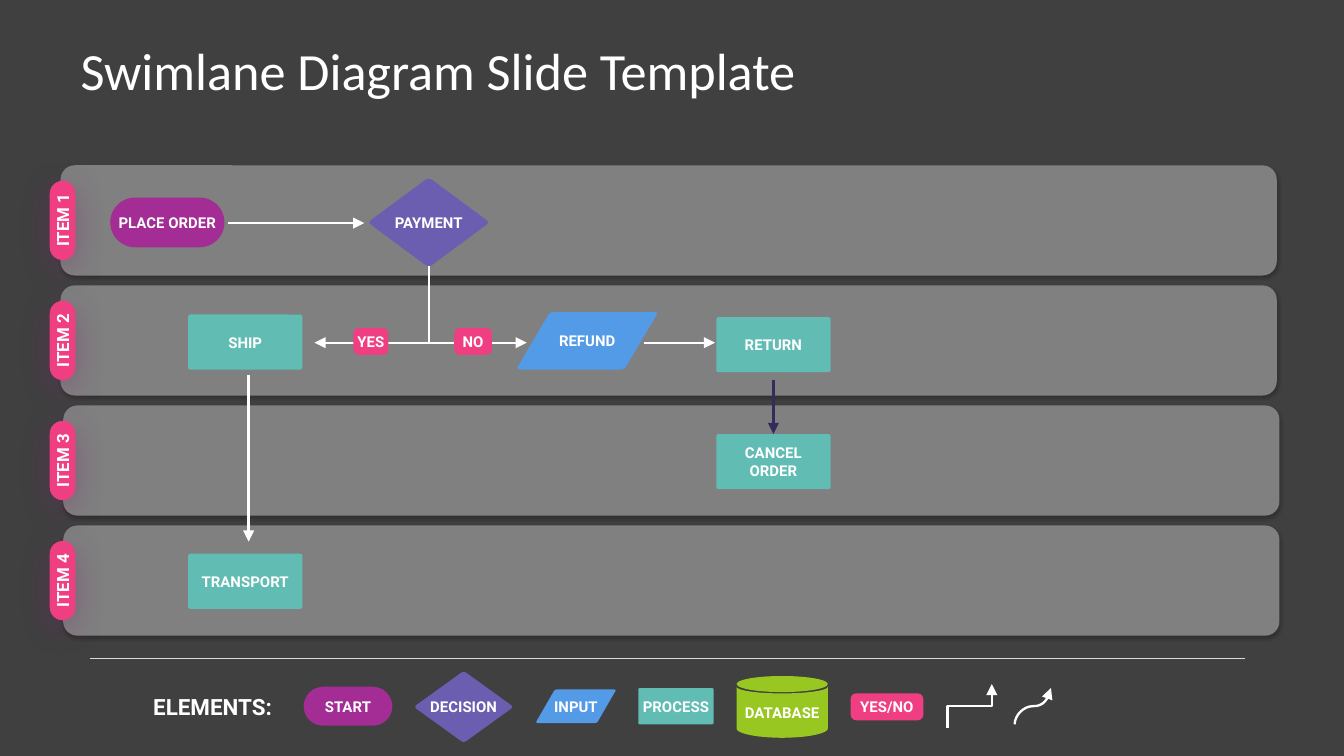
"""Build a swimlane diagram slide with a legend of flowchart elements."""
import math

from lxml import etree
from pptx import Presentation
from pptx.dml.color import RGBColor
from pptx.enum.shapes import MSO_CONNECTOR, MSO_SHAPE
from pptx.enum.text import MSO_ANCHOR, PP_ALIGN
from pptx.oxml.ns import qn
from pptx.util import Inches, Pt

STRAIGHT, ELBOW, CURVE = MSO_CONNECTOR.STRAIGHT, MSO_CONNECTOR.ELBOW, MSO_CONNECTOR.CURVE
ROUNDED, OVAL = MSO_SHAPE.ROUNDED_RECTANGLE, MSO_SHAPE.OVAL
MIDDLE, TOP = MSO_ANCHOR.MIDDLE, MSO_ANCHOR.TOP
CENTER, LEFT = PP_ALIGN.CENTER, PP_ALIGN.LEFT

BACKGROUND = RGBColor(0x40, 0x40, 0x40)
LANE = RGBColor(0x80, 0x80, 0x80)
WHITE = RGBColor(0xFF, 0xFF, 0xFF)
RULE = RGBColor(0xD8, 0xDB, 0xD8)
PURPLE = RGBColor(0xA3, 0x2C, 0x95)
VIOLET = RGBColor(0x6B, 0x5E, 0xB1)
BLUE = RGBColor(0x53, 0x9B, 0xE7)
TEAL = RGBColor(0x61, 0xBC, 0xB3)
GREEN = RGBColor(0x99, 0xC7, 0x22)
PINK = RGBColor(0xEF, 0x3F, 0x82)
NAVY = RGBColor(0x34, 0x2C, 0x5B)

SLIDE_WIDTH = Inches(10)
SLIDE_HEIGHT = SLIDE_WIDTH * 9 // 16

LANE_NAMES = ["ITEM 1", "ITEM 2", "ITEM 3", "ITEM 4"]
LANE_LEFTS = [0.45, 0.45, 0.47, 0.47]
LANE_TOP, LAST_LANE_TOP, LANE_WIDTH, LANE_HEIGHT = 1.23, 3.91, 9.05, 0.82
LABEL_LEFT, LABEL_WIDTH, LABEL_HEIGHT = 0.17, 0.59, 0.19
LANE_SHADOW = ("000000", 23, 2, 1, 70)
LABEL_SHADOW = ("7A206F", 37, 17, 4, 90)

ROUNDED_KINDS = {"start": (PURPLE, 0.5), "process": (TEAL, 0.04), "tag": (PINK, 0.2)}
POLYGON_KINDS = {
    "decision": (VIOLET, 0.06, [(0.5, 0), (1, 0.5), (0.5, 1), (0, 0.5)]),
    "input": (BLUE, 0.05, [(0.24, 0), (1, 0), (0.76, 1), (0, 1)]),
}
STEP_WIDTH, STEP_HEIGHT = 0.85, 0.41
LEGEND = [
    ("START", "start", 2.26, 5.11, 0.66, 0.29),
    ("DECISION", "decision", 3.09, 5, 0.72, 0.52),
    ("INPUT", "input", 3.99, 5.13, 0.59, 0.25),
    ("PROCESS", "process", 4.75, 5.12, 0.56, 0.27),
    ("YES/NO", "tag", 6.33, 5.16, 0.54, 0.2),
]
STEPS = [
    ("PLACE ORDER", "start", 0.82, 1.47, 0.85, 0.37),
    ("PAYMENT", "decision", 2.75, 1.33, 0.88, 0.65),
    ("SHIP", "process", 1.4, 2.34, STEP_WIDTH, STEP_HEIGHT),
    ("REFUND", "input", 3.85, 2.32, 1.04, 0.43),
    ("RETURN", "process", 5.33, 2.36, STEP_WIDTH, STEP_HEIGHT),
    ("CANCEL\nORDER", "process", 5.33, 3.23, STEP_WIDTH, STEP_HEIGHT),
    ("TRANSPORT", "process", 1.4, 4.12, STEP_WIDTH, STEP_HEIGHT),
]
TAGS = [("YES", "tag", 2.63, 2.44, 0.26, 0.2), ("NO", "tag", 3.38, 2.44, 0.28, 0.2)]
ARROWS = [
    ((1.7, 1.66), (2.71, 1.66)),
    ((3.19, 2.55), (3.92, 2.55)),
    ((4.79, 2.55), (5.32, 2.55)),
    ((3.19, 2.55), (2.34, 2.55)),
    ((1.85, 2.79), (1.85, 4.03)),
]


def write(shape, text, size, font="Roboto", bold=True, align=CENTER, anchor=MIDDLE):
    frame = shape.text_frame
    frame.margin_left = frame.margin_right = frame.margin_top = frame.margin_bottom = 0
    frame.word_wrap = False
    frame.vertical_anchor = anchor
    frame.text = text
    for para in frame.paragraphs:
        para.alignment = align
        for span in para.runs:
            span.font.name, span.font.size, span.font.bold = font, Pt(size), bold
            span.font.color.rgb = WHITE


def paint(shape, color, shadow=None):
    shape.fill.solid()
    shape.fill.fore_color.rgb = color
    shape.line.fill.background()
    shape.shadow.inherit = False
    if shadow:
        tone, opacity, blur, distance, angle = shadow
        effects = shape._element.spPr.find(qn("a:effectLst"))
        outer = etree.SubElement(effects, qn("a:outerShdw"), blurRad=str(Pt(blur)),
                                 dist=str(Pt(distance)), dir=str(angle * 60000),
                                 algn="bl", rotWithShape="0")
        shade = etree.SubElement(outer, qn("a:srgbClr"), val=tone)
        etree.SubElement(shade, qn("a:alpha"), val=str(opacity * 1000))
    return shape


def add_preset(page, preset, color, left, top, width, height, shadow=None):
    shape = page.shapes.add_shape(preset, *map(Inches, (left, top, width, height)))
    return paint(shape, color, shadow)


def add_outline(page, color, points):
    first, *rest = [(Inches(x), Inches(y)) for x, y in points]
    builder = page.shapes.build_freeform(*first, scale=1.0)
    builder.add_line_segments(rest, close=True)
    return paint(builder.convert_to_shape(), color)


def soften(corners, cut, steps=6):
    """Round each corner, then stretch the outline to fill the unit square."""
    points = []
    for index, corner in enumerate(corners):
        before, after = corners[index - 1], corners[(index + 1) % len(corners)]
        for step in range(steps + 1):
            t = step / steps
            points.append([c + cut * ((1 - t) ** 2 * (b - c) + t ** 2 * (a - c))
                           for b, c, a in zip(before, corner, after)])
    axes = [[(v - min(axis)) / (max(axis) - min(axis)) for v in axis] for axis in zip(*points)]
    return list(zip(*axes))


def add_element(page, text, kind, left, top, width, height):
    if kind in ROUNDED_KINDS:
        color, radius = ROUNDED_KINDS[kind]
        shape = add_preset(page, ROUNDED, color, left, top, width, height)
        shape.adjustments[0] = radius
    else:
        color, cut, corners = POLYGON_KINDS[kind]
        shape = add_outline(page, color, [(left + x * width, top + y * height)
                                          for x, y in soften(corners, cut)])
    write(shape, text, 8)
    return shape


def add_database(page, left, top, width):
    add_preset(page, OVAL, GREEN, left, top, width, 0.12)
    angles = [math.pi * step / 24 for step in range(25)]

    def arc(level, depth):
        return [(left + width / 2 * (1 + math.cos(a)), top + level + depth * math.sin(a))
                for a in angles]

    body = add_outline(page, GREEN, arc(0.08, 0.05) + arc(0.39, 0.07)[::-1])
    write(body, "DATABASE", 8)


def add_line(page, start, end, color=WHITE, width=1.25, arrow=True, kind=STRAIGHT):
    line = page.shapes.add_connector(kind, *map(Inches, (*start, *end)))
    line.line.color.rgb = color
    line.line.width = Pt(width)
    if arrow:
        etree.SubElement(line.line._get_or_add_ln(), qn("a:tailEnd"), type="triangle")
    etree.SubElement(line._element.spPr, qn("a:effectLst"))
    return line


def main():
    deck = Presentation()
    deck.slide_width, deck.slide_height = SLIDE_WIDTH, SLIDE_HEIGHT
    page = deck.slides.add_slide(deck.slide_layouts[6])
    page.background.fill.solid()
    page.background.fill.fore_color.rgb = BACKGROUND

    pitch = (LAST_LANE_TOP - LANE_TOP) / (len(LANE_NAMES) - 1)
    tops = [LANE_TOP + pitch * row for row in range(len(LANE_NAMES))]
    for left, top in zip(LANE_LEFTS, tops):
        lane = add_preset(page, ROUNDED, LANE, left, top, LANE_WIDTH, LANE_HEIGHT, LANE_SHADOW)
        lane.adjustments[0] = 0.13

    title = page.shapes.add_textbox(*map(Inches, (0.6, 0.23, 8.8, 0.58)))
    write(title, "Swimlane Diagram Slide Template", 28, "Calibri", False, LEFT)

    for item in LEGEND:
        add_element(page, *item)
    add_database(page, 5.48, 5.03, 0.68)

    for name, top in zip(LANE_NAMES, tops):
        label_top = top + (LANE_HEIGHT - LABEL_HEIGHT) / 2
        label = add_preset(page, ROUNDED, PINK, LABEL_LEFT, label_top,
                           LABEL_WIDTH, LABEL_HEIGHT, LABEL_SHADOW)
        label.adjustments[0] = 0.5
        label.rotation = 270
        write(label, name, 9)

    heading = page.shapes.add_textbox(*map(Inches, (1.14, 5.16, 1.04, 0.2)))
    write(heading, "ELEMENTS:", 12, align=LEFT, anchor=TOP)
    add_line(page, (0.67, 4.9), (9.26, 4.9), RULE, 0.75, arrow=False)
    for kind, start, end in [(ELBOW, (7.38, 5.42), (7.05, 5.09)),
                             (CURVE, (7.82, 5.39), (7.55, 5.12))]:
        sample = add_line(page, start, end, kind=kind)
        sample._element.spPr.find(qn("a:xfrm")).set("rot", "5400000")

    boxes = {item[0]: add_element(page, *item) for item in STEPS}
    for start, end in ARROWS:
        add_line(page, start, end)
    add_line(page, (3.19, 1.98), (3.19, 2.55), arrow=False)
    cancel_center = 5.33 + STEP_WIDTH / 2
    cancel = add_line(page, (cancel_center, 2.83), (cancel_center, 3.23), NAVY)
    cancel.end_connect(boxes["CANCEL\nORDER"], 0)
    for item in TAGS:
        add_element(page, *item)
    deck.save("out.pptx")


if __name__ == "__main__":
    main()
